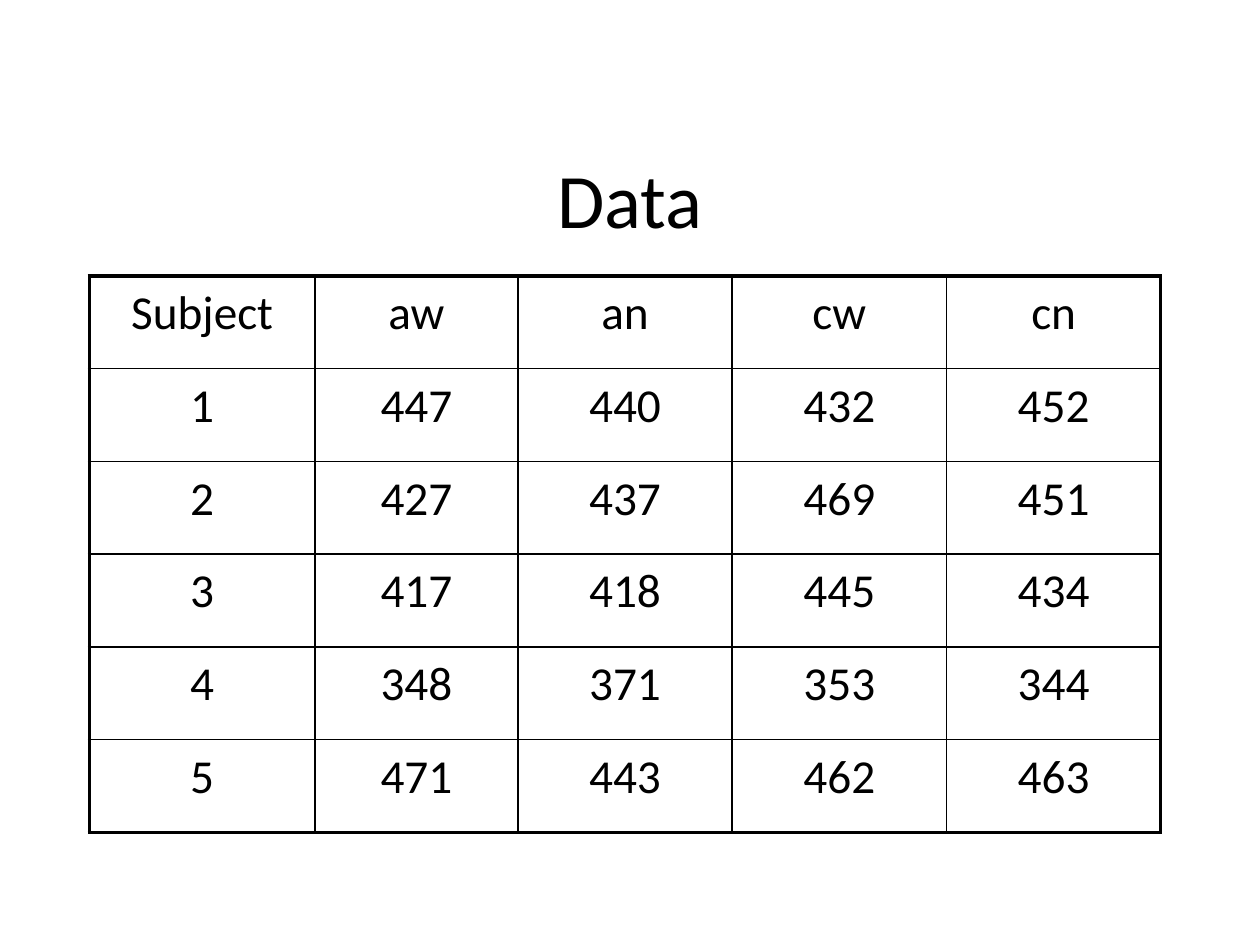
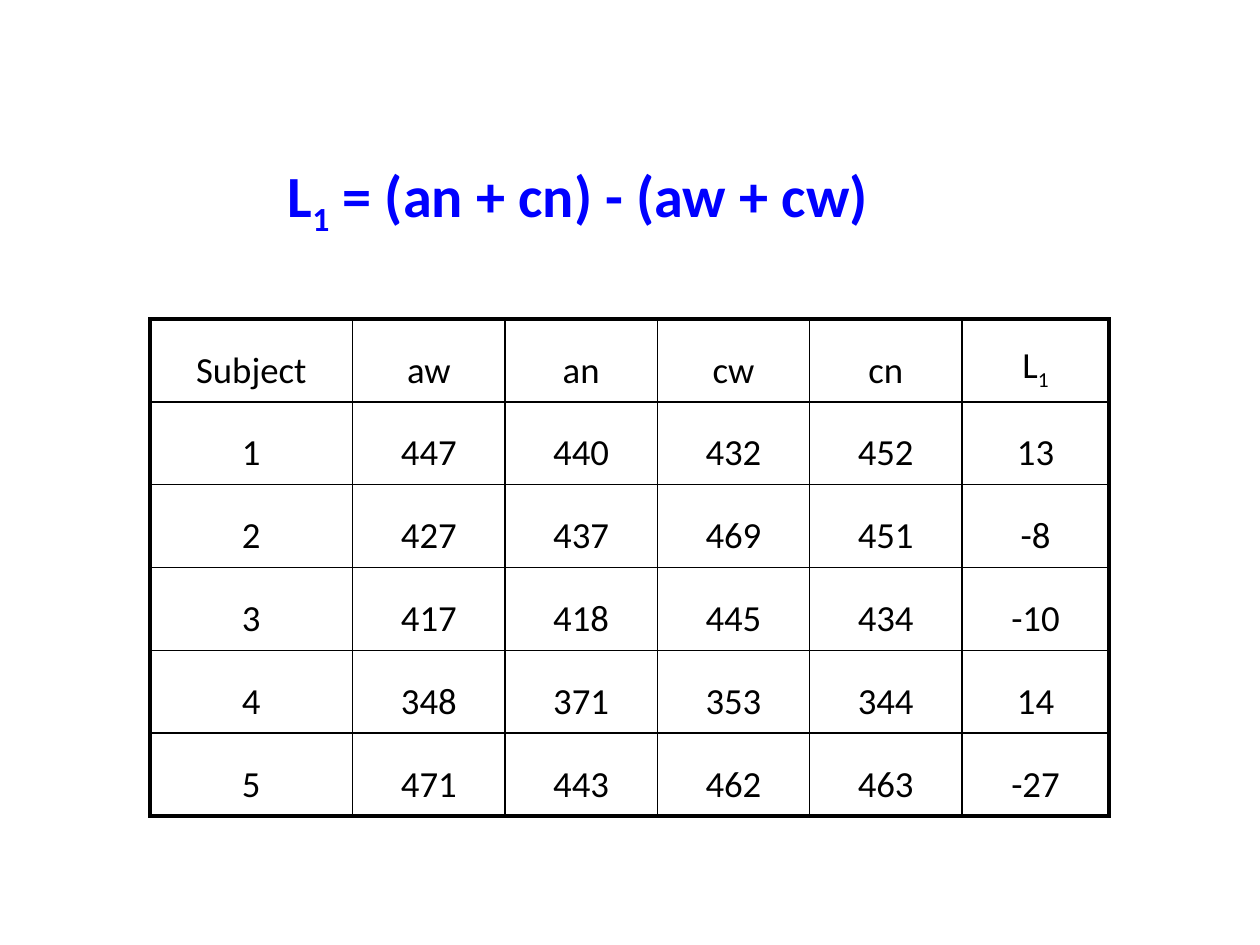
from lxml import etree
from pptx import Presentation
from pptx.dml.color import RGBColor
from pptx.enum.text import MSO_ANCHOR, MSO_AUTO_SIZE, PP_ALIGN
from pptx.oxml.ns import qn
from pptx.util import Cm, Pt

CENTER, LEFT = PP_ALIGN.CENTER, PP_ALIGN.LEFT
TOP, MIDDLE, BOTTOM = MSO_ANCHOR.TOP, MSO_ANCHOR.MIDDLE, MSO_ANCHOR.BOTTOM
TITLE_ONLY = 5
FONT = "Calibri"
COLORS = {"text": "000000", "formula": "0000FF"}
THIN, THICK = Pt(1), Pt(2.25)
INSET_X, INSET_Y = Cm(0.36), Cm(0.18)


def write_text(frame, text, size, color="text", bold=False, align=CENTER):
    """Fill the first paragraph; text between underscores is subscript."""
    para = frame.paragraphs[0]
    para.alignment = align
    for index, piece in enumerate(text.split("_")):
        if not piece:
            continue
        span = para.add_run()
        span.text = piece
        span.font.name, span.font.size, span.font.bold = FONT, Pt(size), bold
        span.font.color.rgb = RGBColor.from_string(COLORS[color])
        if index % 2:
            span.font._element.set("baseline", "-25000")


def set_border(cell, side, width):
    line = etree.SubElement(cell._tc.get_or_add_tcPr(), qn(f"a:ln{side}"), w=str(width))
    fill = etree.SubElement(line, qn("a:solidFill"))
    etree.SubElement(fill, qn("a:srgbClr"), val=COLORS["text"])


header = ["Subject", "aw", "an", "cw", "cn"]
subject_values = [
    (447, 440, 432, 452),
    (427, 437, 469, 451),
    (417, 418, 445, 434),
    (348, 371, 353, 344),
    (471, 443, 462, 463),
]
data_rows = [header]
data_rows += [[subject, *values] for subject, values in enumerate(subject_values, 1)]
l1_column = ["L_1_"] + [(an + cn) - (aw + cw) for aw, an, cw, cn in subject_values]
l1_rows = [[*row, l1] for row, l1 in zip(data_rows, l1_column)]

pages = [
    {
        "title": "Data",
        "title_box": (1.9, 2.57, 21.6, 2.82),
        "title_format": {"size": 44},
        "title_anchor": MIDDLE,
        "rows": data_rows,
        "corner": (1.8, 5.56),
        "column_widths": [4.55, 4.09] + [4.32] * 3,
        "row_height": 1.87,
        "cell_size": 27,
        "cell_anchor": TOP,
    },
    {
        "title": "L_1_ = (an + cn) - (aw + cw)",
        "title_box": (5.44, 3.02, 16.64, 1.78),
        "title_format": {"size": 33.3, "color": "formula", "bold": True, "align": LEFT},
        "title_anchor": TOP,
        "rows": l1_rows,
        "corner": (3.02, 6.43),
        "column_widths": [4.09] + [3.07] * 4 + [2.97],
        "row_height": 1.67,
        "cell_size": 21,
        "cell_anchor": BOTTOM,
    },
]

deck = Presentation()
deck.slide_width, deck.slide_height = Cm(25.4), Cm(19.05)

for page in pages:
    slide = deck.slides.add_slide(deck.slide_layouts[TITLE_ONLY])
    title = slide.shapes.title
    title.left, title.top, title.width, title.height = map(Cm, page["title_box"])
    frame = title.text_frame
    frame.word_wrap = True
    frame.auto_size = MSO_AUTO_SIZE.NONE
    frame.vertical_anchor = page["title_anchor"]
    frame.margin_left = frame.margin_right = INSET_X
    frame.margin_top = frame.margin_bottom = INSET_Y
    write_text(frame, page["title"], **page["title_format"])

    rows, widths = page["rows"], page["column_widths"]
    left, top = map(Cm, page["corner"])
    table = slide.shapes.add_table(
        len(rows), len(widths), left, top,
        Cm(sum(widths)), Cm(page["row_height"] * len(rows)),
    ).table
    table.first_row = table.horz_banding = False
    for column, width in zip(table.columns, widths):
        column.width = Cm(width)
    for row in table.rows:
        row.height = Cm(page["row_height"])

    for row_index, values in enumerate(rows):
        for column_index, value in enumerate(values):
            cell = table.cell(row_index, column_index)
            cell.margin_left = cell.margin_right = INSET_X
            cell.margin_top = cell.margin_bottom = INSET_Y
            cell.vertical_anchor = page["cell_anchor"]
            outer_sides = {
                "L": column_index == 0,
                "R": column_index == len(widths) - 1,
                "T": row_index == 0,
                "B": row_index == len(rows) - 1,
            }
            for side, is_outer in outer_sides.items():
                set_border(cell, side, THICK if is_outer else THIN)
            cell.fill.background()
            write_text(cell.text_frame, str(value), page["cell_size"])

deck.save("out.pptx")
